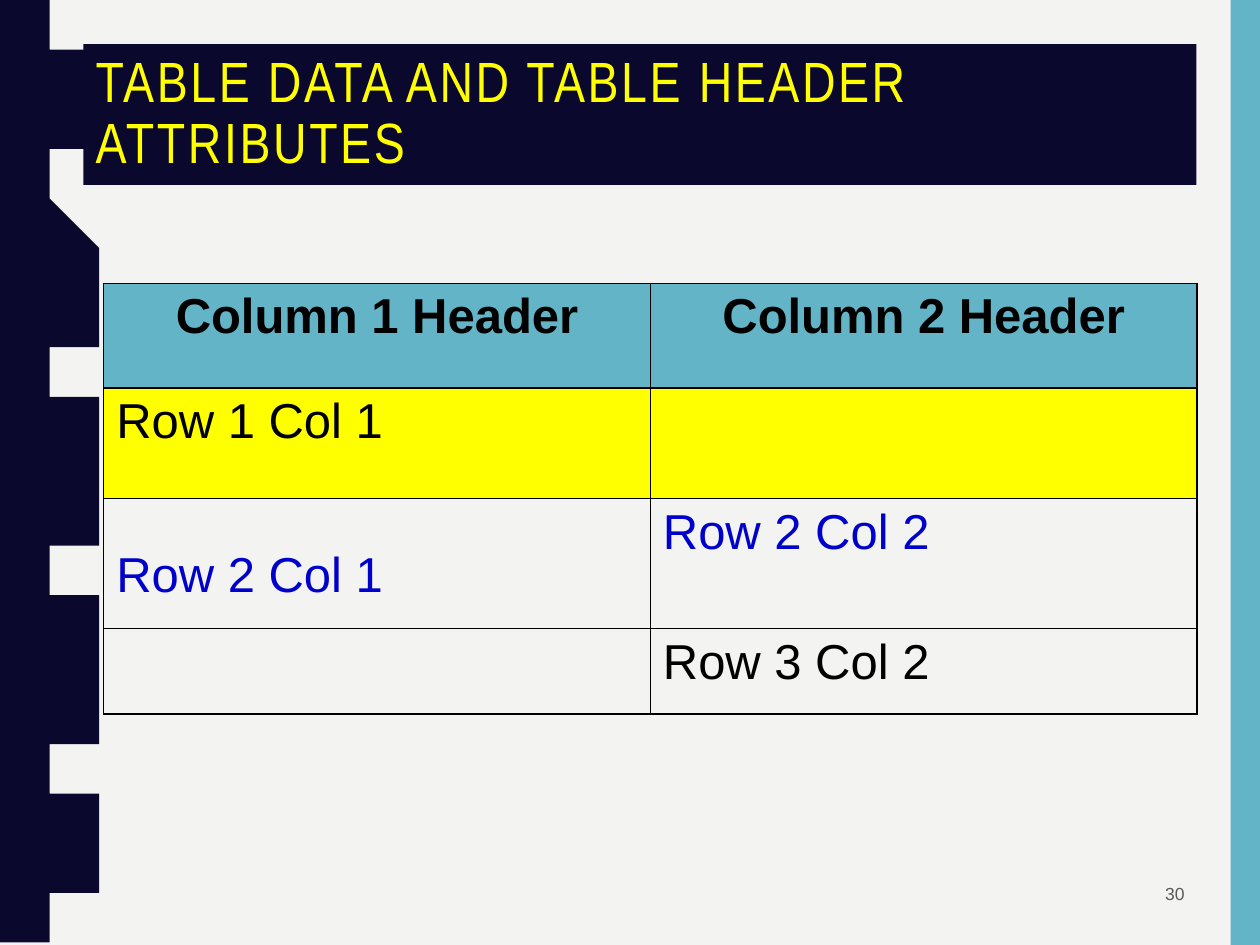
from pptx import Presentation
from pptx.dml.color import RGBColor
from pptx.enum.shapes import MSO_SHAPE
from pptx.enum.text import MSO_ANCHOR, PP_ALIGN
from pptx.oxml import parse_xml
from pptx.oxml.ns import nsdecls
from pptx.util import Cm, Pt


def rgb(value):
    return RGBColor.from_string(value)


def write(tf, text, size=28, font="Arial", color="000000", bold=False,
          align=PP_ALIGN.LEFT, anchor=MSO_ANCHOR.TOP, line=None, spacing=None):
    tf.word_wrap = True
    tf.vertical_anchor = anchor
    p = tf.paragraphs[0]
    p.alignment = align
    if line:
        p.line_spacing = line
    r = p.add_run()
    r.text = text
    r.font.size = Pt(size)
    r.font.name = font
    r.font.bold = bold
    r.font.color.rgb = rgb(color)
    if spacing:
        r.font._element.set("spc", str(int(spacing * 100)))


class Deck:
    NAVY = "0B082E"
    TEAL = "62B4C6"
    YELLOW = "FFFF00"
    BLUE = "0000CC"
    GREY = "595959"
    PAPER = "F3F3F2"
    BLACK = "000000"

    def __init__(self, width, height):
        self.prs = Presentation()
        self.prs.slide_width, self.prs.slide_height = Cm(width), Cm(height)
        self.s = self.prs.slides.add_slide(self.prs.slide_layouts[6])
        self.s.background.fill.solid()
        self.s.background.fill.fore_color.rgb = rgb(self.PAPER)

    def paint(self, sp, color):
        sp.shadow.inherit = False
        sp.fill.solid()
        sp.fill.fore_color.rgb = rgb(color)
        sp.line.fill.background()
        return sp

    def box(self, x, y, w, h, color):
        sp = self.s.shapes.add_shape(MSO_SHAPE.RECTANGLE, Cm(x), Cm(y), Cm(w), Cm(h))
        return self.paint(sp, color)

    def text(self, x, y, w, h, text, **style):
        sp = self.s.shapes.add_textbox(Cm(x), Cm(y), Cm(w), Cm(h))
        write(sp.text_frame, text, **style)

    def wave(self, inner, outer, height, count, color, steps=12):
        step = height / count
        points = []
        for i in range(count):
            start, end = (inner, outer) if i % 2 == 0 else (outer, inner)
            for k in range(1, steps + 1):
                t = k / steps
                x = start + (end - start) * (3 * t**2 - 2 * t**3)
                y = step * (i + 1.5 * t * (1 - t) + t**3)
                points.append((x, y))
        fb = self.s.shapes.build_freeform(0, 0, scale=Cm(1))
        fb.add_line_segments([(inner, 0), *points, (0, height)])
        self.paint(fb.convert_to_shape(), color)

    def border(self, cell):
        tcPr = cell._tc.get_or_add_tcPr()
        for i, side in enumerate(("lnL", "lnR", "lnT", "lnB")):
            tcPr.insert(i, parse_xml(
                f'<a:{side} {nsdecls("a")} w="{Pt(1)}"><a:solidFill>'
                f'<a:srgbClr val="{self.BLACK}"/></a:solidFill></a:{side}>'))

    def table(self, x, y, widths, heights, rows):
        tbl = self.s.shapes.add_table(len(heights), len(widths), Cm(x), Cm(y),
                                      Cm(sum(widths)), Cm(sum(heights))).table
        for col, w in zip(tbl.columns, widths):
            col.width = Cm(w)
        for row, h, (fill, style, texts) in zip(tbl.rows, heights, rows):
            row.height = Cm(h)
            for cell, text in zip(row.cells, texts):
                if fill:
                    cell.fill.solid()
                    cell.fill.fore_color.rgb = rgb(fill)
                else:
                    cell.fill.background()
                self.border(cell)
                if text:
                    write(cell.text_frame, text, **style)
        return tbl


def main():
    d = Deck(25.4, 19.05)
    d.box(24.81, 0, 0.59, 19.05, d.TEAL)
    d.wave(1.4, 1.89, 19.05, 10, d.NAVY)
    title = d.box(1.68, 0.89, 22.44, 2.84, d.NAVY)
    write(title.text_frame, "TABLE DATA AND TABLE HEADER ATTRIBUTES", size=32.4,
          font="Arial Narrow", color=d.YELLOW, anchor=MSO_ANCHOR.MIDDLE,
          line=0.9, spacing=1.5)
    header = dict(bold=True, align=PP_ALIGN.CENTER)
    tbl = d.table(2.09, 5.71, [11.02] * 2, [2.11, 2.23, 2.62, 1.72], [
        (d.TEAL, header, ("Column 1 Header", "Column 2 Header")),
        (d.YELLOW, {}, ("Row 1 Col 1", "")),
        (None, dict(color=d.BLUE), ("Row 2 Col 1", "Row 2 Col 2")),
        (None, {}, ("", "Row 3 Col 2")),
    ])
    tbl.cell(2, 0).margin_top = Cm(1)
    d.text(18.21, 17.35, 5.92, 1.32, "30", size=10, color=d.GREY,
           align=PP_ALIGN.RIGHT, anchor=MSO_ANCHOR.MIDDLE)
    d.prs.save("out.pptx")


if __name__ == "__main__":
    main()
